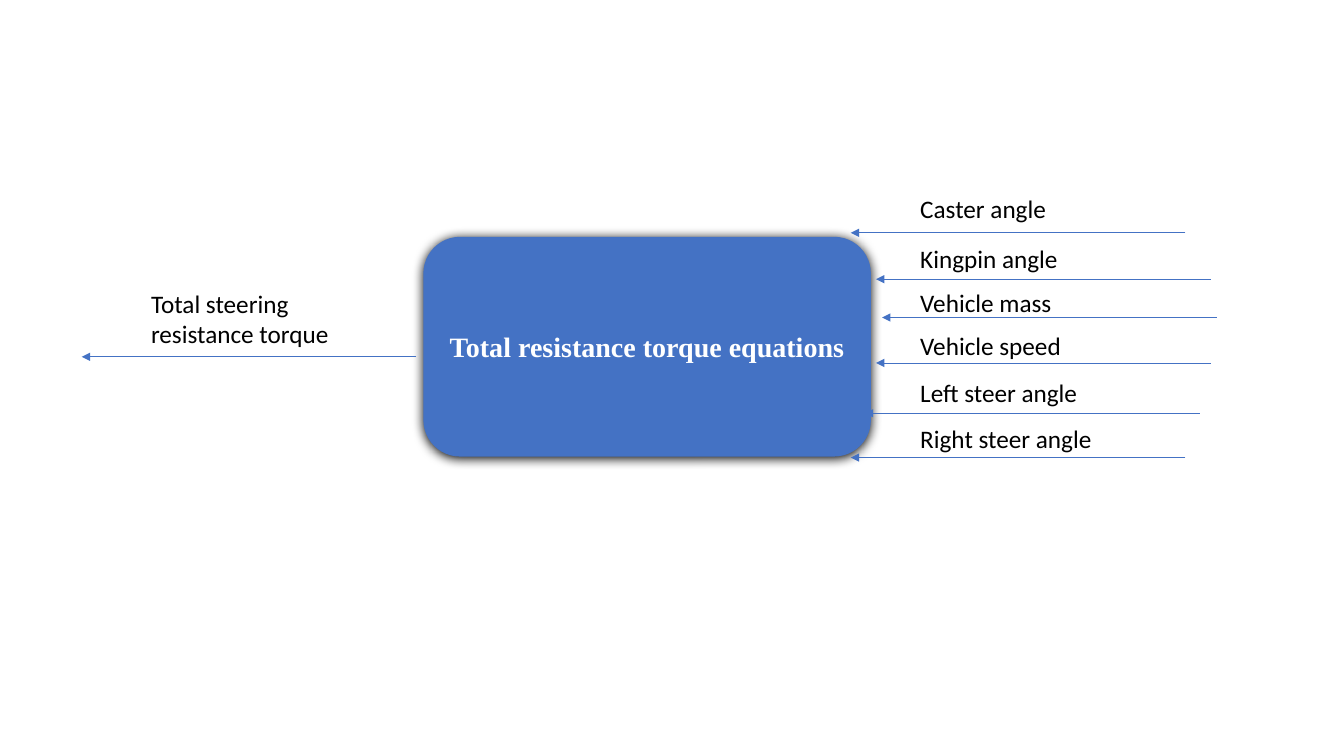
from dataclasses import dataclass

from lxml.etree import SubElement
from pptx import Presentation
from pptx.dml.color import RGBColor
from pptx.enum.shapes import MSO_CONNECTOR, MSO_SHAPE
from pptx.enum.text import MSO_ANCHOR, MSO_AUTO_SIZE, PP_ALIGN
from pptx.oxml.ns import qn
from pptx.util import Inches, Pt


@dataclass(frozen=True)
class Theme:
    blue: str = "4472C4"
    white: str = "FFFFFF"
    black: str = "000000"
    serif: str = "Times New Roman"
    sans: str = "Calibri"
    head: int = 20
    body: int = 18
    line: float = 0.5
    blur: float = 8.5
    drop: int = 1


class Board:
    def __init__(self, deck, theme):
        self.theme = theme
        self.slide = deck.slides.add_slide(deck.slide_layouts[6])
        self.col = deck.slide_width / 100
        self.row = deck.slide_height / 100

    def place(self, left, top, width, height):
        return (round(left * self.col), round(top * self.row),
                round(width * self.col), round(height * self.row))

    def letter(self, frame, text, face, size, color, bold=False):
        frame.word_wrap = True
        para = frame.paragraphs[0]
        para.text = text
        para.font.name = face
        para.font.size = Pt(size)
        para.font.bold = bold
        para.font.color.rgb = RGBColor.from_string(color)
        return para

    def block(self, text, *area):
        look = self.theme
        shape = self.slide.shapes.add_shape(
            MSO_SHAPE.ROUNDED_RECTANGLE, *self.place(*area))
        shape.fill.solid()
        shape.fill.fore_color.rgb = RGBColor.from_string(look.blue)
        shape.line.fill.background()
        shape.shadow.inherit = False
        effect = shape.element.spPr.find(qn("a:effectLst"))
        shade = SubElement(effect, qn("a:outerShdw"), blurRad=str(int(Pt(look.blur))),
                           dist=str(int(Pt(look.drop))), dir="5400000",
                           algn="ctr", rotWithShape="0")
        SubElement(shade, qn("a:srgbClr"), val=look.black)
        shape.text_frame.vertical_anchor = MSO_ANCHOR.MIDDLE
        para = self.letter(shape.text_frame, text, look.serif, look.head,
                           look.white, True)
        para.alignment = PP_ALIGN.CENTER

    def arrow(self, tip, level, span=24.9):
        left, top, width, _ = self.place(tip, level, span, 0)
        link = self.slide.shapes.add_connector(
            MSO_CONNECTOR.STRAIGHT, left + width, top, left, top)
        link.line.color.rgb = RGBColor.from_string(self.theme.blue)
        link.line.width = Pt(self.theme.line)
        props = link.element.spPr
        SubElement(props.find(qn("a:ln")), qn("a:tailEnd"), type="triangle")
        SubElement(props, qn("a:effectLst"))

    def label(self, text, *area):
        look = self.theme
        frame = self.slide.shapes.add_textbox(*self.place(*area)).text_frame
        self.letter(frame, text, look.sans, look.body, look.black)
        frame.auto_size = MSO_AUTO_SIZE.SHAPE_TO_FIT_TEXT


INPUTS = (
    ("Caster angle", 24.93, 63.3, 30.8),
    ("Kingpin angle", 31.47, 65.18, 36.93),
    ("Vehicle mass", 37.33, 65.63, 42),
    ("Vehicle speed", 43.07, 65.18, 48),
    ("Left steer angle", 49.2, 64.35, 54.67),
    ("Right steer angle", 55.33, 63.3, 60.53),
)

deck = Presentation()
deck.slide_width = Inches(13.33)
deck.slide_height = Inches(7.5)
board = Board(deck, Theme())
board.block("Total resistance torque equations", 31.5, 31.33, 33.3, 29.07)
for name, top, tip, level in INPUTS:
    board.arrow(tip, level)
    board.label(name, 67.73, top, 14.48, 5.33)
board.arrow(6.08, 47.2)
board.label("Total steering resistance torque", 10.5, 37.47, 19.05, 9.47)
deck.save("out.pptx")
